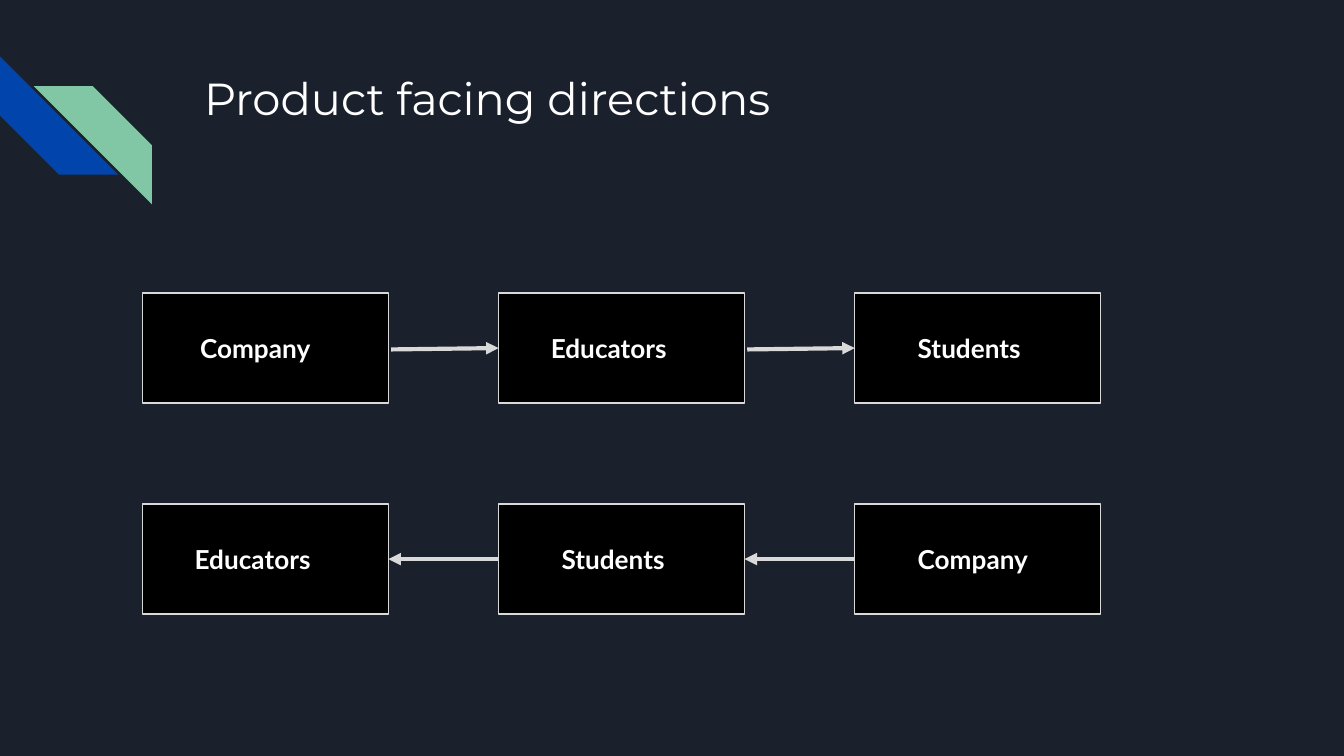
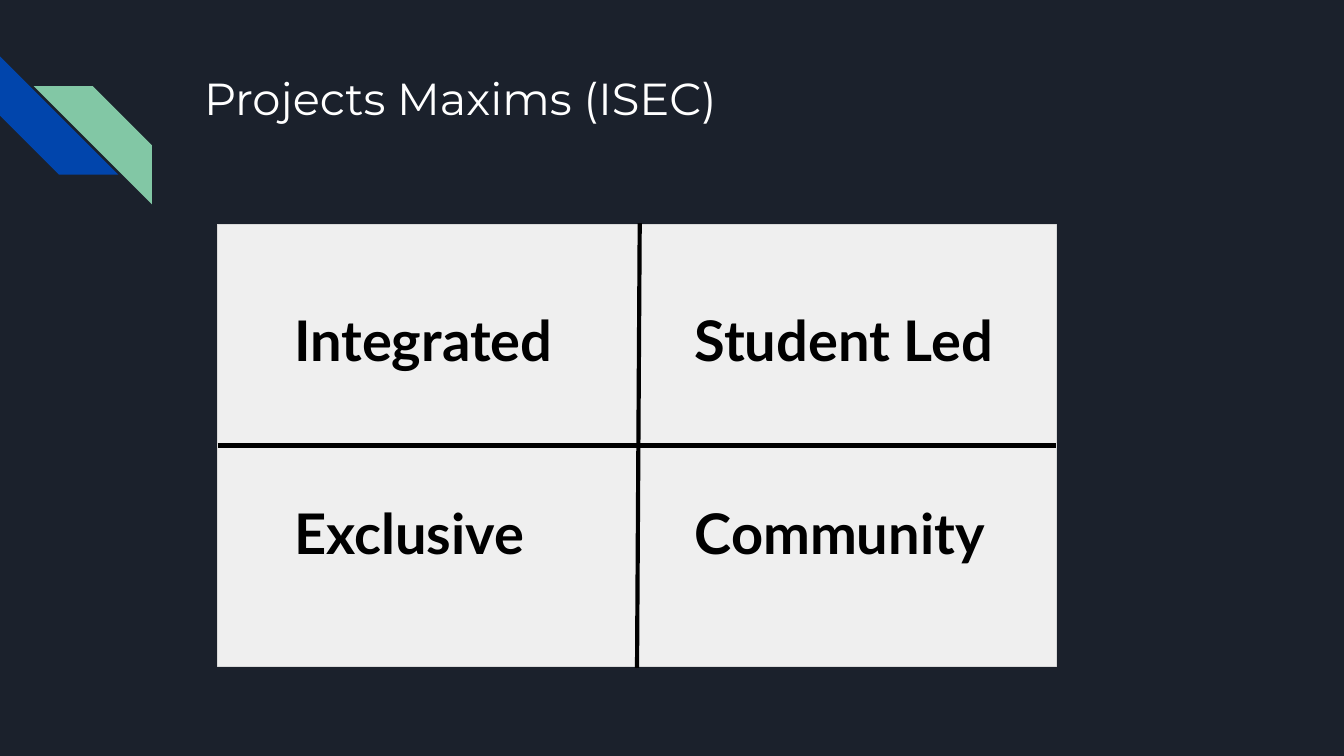
"""Build two slides: the product facing directions and the project maxims."""
from pptx import Presentation
from pptx.dml.color import RGBColor
from pptx.enum import shapes, text
from pptx.oxml import ns, xmlchemy as x
from pptx.util import Inches, Pt

BG, BLUE, GREEN = "1B212C", "0145AC", "82C7A5"
BLACK, WHITE, GREY, PALE = "000000", "FFFFFF", "D9D9D9", "EFEFEF"
rgb = RGBColor.from_string


def add_shape(s, kind, left, top, width, height, fill, line=None):
    sp = s.shapes.add_shape(kind, Inches(left), Inches(top), Inches(width), Inches(height))
    sp.shadow.inherit = False
    sp.fill.solid()
    sp.fill.fore_color.rgb = rgb(fill)
    if line:
        sp.line.color.rgb = rgb(line)
        sp.line.width = Pt(0.75)
    else:
        sp.line.fill.background()
    return sp


def add_text(s, words, left, top, width, height, size, color, font="Lato", bold=True):
    tf = s.shapes.add_textbox(Inches(left), Inches(top), Inches(width), Inches(height)).text_frame
    tf.word_wrap = True
    tf.vertical_anchor = text.MSO_ANCHOR.TOP
    tf.margin_left = tf.margin_right = tf.margin_top = tf.margin_bottom = Inches(0.1)
    p = tf.paragraphs[0]
    p.text = words
    p.font.name, p.font.size, p.font.bold = font, Pt(size), bold
    p.font.color.rgb = rgb(color)


prs = Presentation()
prs.slide_width = Inches(10)
prs.slide_height = prs.slide_width * 9 // 16
RECT, STRIPE = shapes.MSO_SHAPE.RECTANGLE, shapes.MSO_SHAPE.DIAGONAL_STRIPE
STRAIGHT = shapes.MSO_CONNECTOR.STRAIGHT

slides = []
for title in ("Product facing directions", "Projects Maxims (ISEC)"):
    s = prs.slides.add_slide(prs.slide_layouts[6])
    s.background.fill.solid()
    s.background.fill.fore_color.rgb = rgb(BG)
    add_shape(s, STRIPE, 0, 0.42, 0.88, 0.88, BLUE).rotation = 270
    green = add_shape(s, STRIPE, 0.25, 0.64, 0.88, 0.88, GREEN)
    green._element.spPr.xfrm.set("flipH", "1")
    add_text(s, title, 1.42, 0.43, 7.7, 1, 24, WHITE, "Montserrat", False)
    slides.append(s)
directions, maxims = slides

box_w, box_h, step = 1.83, 0.82, 2.65
rows = [
    (2.18, 2.37, [("Company", 1.39, 1.16), ("Educators", 4, 1.25), ("Students", 6.73, 1.08)]),
    (3.75, 3.94, [("Educators", 1.35, 1.25), ("Students", 4.08, 1.08), ("Company", 6.73, 1.16)]),
]
lines = []
for row, (top, label_top, labels) in enumerate(rows):
    boxes = [add_shape(directions, RECT, 1.06 + step * i, top, box_w, box_h, BLACK, GREY)
             for i in range(3)]
    for left_box, right_box in zip(boxes, boxes[1:]):
        start = left_box.left + left_box.width + Inches(0.02)
        middle = left_box.top + left_box.height // 2
        arrow = directions.shapes.add_connector(
            STRAIGHT, start, middle + Inches(0.01), right_box.left, middle)
        if row == 0:
            arrow.end_connect(right_box, 1)
        else:
            arrow.begin_connect(right_box, 1)
            arrow.end_connect(left_box, 3)
        lines.append((arrow, GREY, True))
    for words, left, width in labels:
        add_text(directions, words, left, label_top, width, 0.43, 14, WHITE)

panel = add_shape(maxims, RECT, 1.62, 1.67, 6.24, 3.29, PALE, GREY)
divider = maxims.shapes.add_connector(
    STRAIGHT, Inches(4.76), Inches(1.66), Inches(4.74), Inches(4.97))
across = maxims.shapes.add_connector(
    STRAIGHT, Inches(1.62), Inches(3.32), Inches(7.86), Inches(3.32))
across.begin_connect(panel, 1)
across.end_connect(panel, 3)
lines += [(divider, BLACK, False), (across, BLACK, False)]
for top, pair in ((2.17, ("Integrated", "Student Led")), (3.61, ("Exclusive", "Community"))):
    for left, words in zip((2.09, 5.07), pair):
        add_text(maxims, words, left, top, 2.65, 1, 30, BLACK)

for line, color, has_head in lines:
    line.line.color.rgb = rgb(color)
    line.line.width = Pt(2.25)
    if has_head:
        head = x.OxmlElement("a:tailEnd")
        head.set("type", "triangle")
        line._element.spPr.find(ns.qn("a:ln")).append(head)
    line._element.spPr.append(x.OxmlElement("a:effectLst"))

prs.save("out.pptx")
